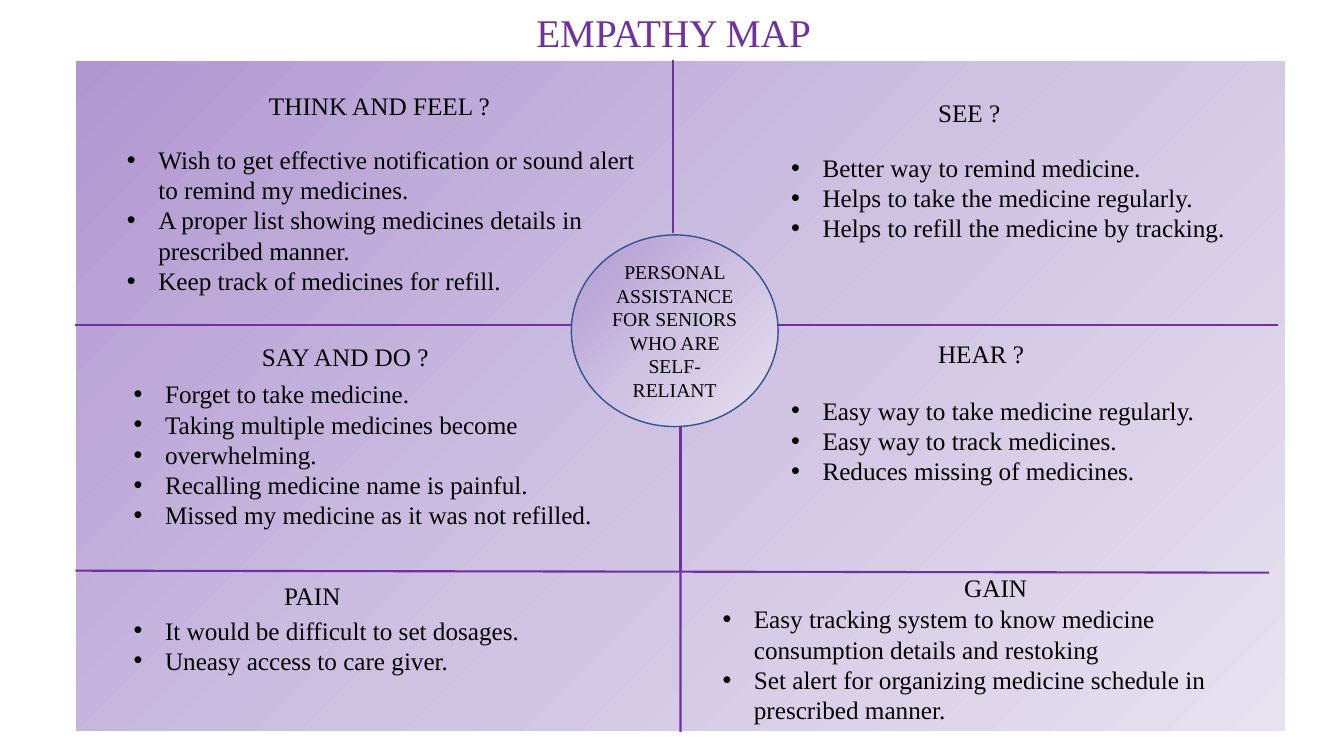
import copy

import pptx
import pptx.dml.color
import pptx.enum.shapes
import pptx.enum.text
import pptx.oxml
import pptx.oxml.ns
import pptx.util

Cm = pptx.util.Cm
Pt = pptx.util.Pt
qn = pptx.oxml.ns.qn
ALIGN = pptx.enum.text.PP_ALIGN
ANCHOR = pptx.enum.text.MSO_ANCHOR
SHAPES = pptx.enum.shapes.MSO_SHAPE


def color(value):
    return pptx.dml.color.RGBColor.from_string(value)


class EmpathyMap:
    font = "Times New Roman"
    purple = "7030A0"
    black = "000000"
    gradient = ("B197D2", "CEC1E2", "E7E1F0")
    indent = 0.79

    def __init__(self, presentation):
        self.slide = presentation.slides.add_slide(presentation.slide_layouts[5])

    def set_text(self, text_frame, text, size=18, ink=black, align=ALIGN.LEFT):
        text_frame.text = text
        for paragraph in text_frame.paragraphs:
            paragraph.alignment = align
            for run in paragraph.runs:
                run.font.name = self.font
                run.font.size = Pt(size)
                run.font.color.rgb = color(ink)

    def title(self, text, left, top, width, height):
        shape = self.slide.shapes.title
        shape.left, shape.top, shape.width, shape.height = map(Cm, (left, top, width, height))
        text_frame = shape.text_frame
        text_frame.auto_size = pptx.enum.text.MSO_AUTO_SIZE.NONE
        text_frame.vertical_anchor = ANCHOR.TOP
        self.set_text(text_frame, text, 28, self.purple, ALIGN.CENTER)

    def area(self, kind, left, top, width, height, outline, weight):
        shape = self.slide.shapes.add_shape(kind, *map(Cm, (left, top, width, height)))
        shape.shadow.inherit = False
        shape.line.color.rgb = color(outline)
        shape.line.width = Pt(weight)
        shape.fill.gradient()
        shape.fill.gradient_angle = 315
        stop_list = shape.element.spPr.find(".//" + qn("a:gsLst"))
        stop_list.insert(1, copy.deepcopy(stop_list[0]))
        for index, stop in enumerate(shape.fill.gradient_stops):
            stop.position = index / 2
            stop.color.rgb = color(self.gradient[index])
        return shape

    def centre(self, text, *box):
        shape = self.area(SHAPES.OVAL, *box, "325491", 1)
        shape.text_frame.word_wrap = True
        shape.text_frame.vertical_anchor = ANCHOR.MIDDLE
        self.set_text(shape.text_frame, text, 14, align=ALIGN.CENTER)

    def divider(self, *ends):
        straight = pptx.enum.shapes.MSO_CONNECTOR.STRAIGHT
        connector = self.slide.shapes.add_connector(straight, *map(Cm, ends))
        connector.line.color.rgb = color(self.purple)
        connector.line.width = Pt(1.5)
        properties = connector.element.spPr
        properties.append(properties.makeelement(qn("a:effectLst"), {}))
        return connector

    def heading(self, text, left, top, width):
        box = self.slide.shapes.add_textbox(Cm(left), Cm(top), Cm(width), Cm(1.02))
        box.text_frame.word_wrap = False
        self.set_text(box.text_frame, text)

    def bullets(self, items, left, top, width, height):
        box = self.slide.shapes.add_textbox(*map(Cm, (left, top, width, height)))
        box.text_frame.word_wrap = True
        self.set_text(box.text_frame, "\n".join(items))
        for paragraph in box.text_frame.paragraphs:
            properties = paragraph._p.get_or_add_pPr()
            properties.set("marL", str(Cm(self.indent)))
            properties.set("indent", str(-Cm(self.indent)))
            properties.append(properties.makeelement(qn("a:buFont"), {"typeface": "Arial"}))
            properties.append(properties.makeelement(qn("a:buChar"), {"char": "•"}))


SECTIONS = [
    ("THINK AND FEEL ?", (6.53, 2.16, 6.32), (2.95, 3.51, 13.56, 4.88), [
        "Wish to get effective notification or sound alert to remind my medicines.",
        "A proper list showing medicines details in prescribed manner.",
        "Keep track of medicines for refill.",
    ]),
    ("SEE ?", (23.39, 2.34, 2.62), (19.69, 3.71, 12.62, 2.57), [
        "Better way to remind medicine.",
        "Helps to take the medicine regularly.",
        "Helps to refill the medicine by tracking.",
    ]),
    ("SAY AND DO ?", (6.35, 8.48, 4.95), (3.12, 9.42, 12.57, 4.11), [
        "Forget to take medicine.",
        "Taking multiple medicines become",
        "overwhelming.",
        "Recalling medicine name is painful.",
        "Missed my medicine as it was not refilled.",
    ]),
    ("HEAR ?", (23.39, 8.41, 2.72), (19.69, 9.83, 11.46, 2.57), [
        "Easy way to take medicine regularly.",
        "Easy way to track medicines.",
        "Reduces missing of medicines.",
    ]),
    ("PAIN", (6.91, 14.5, 2.79), (3.12, 15.37, 11.05, 2.57), [
        "It would be difficult to set dosages.",
        "Uneasy access to care giver.",
    ]),
    ("GAIN", (24.05, 14.3, 3.4), (17.96, 15.09, 14.25, 3.33), [
        "Easy tracking system to know medicine consumption details and restoking",
        "Set alert for organizing medicine schedule in prescribed manner.",
    ]),
]

DIVIDERS = [
    (1.9, 14.38, 31.98, 14.43),
    (16.97, 1.52, 16.97, 5.87),
    (1.9, 8.2, 14.38, 8.2),
    (19.58, 8.2, 32.2, 8.2),
    (17.15, 10.74, 17.15, 14.4),
]


def main():
    presentation = pptx.Presentation()
    presentation.slide_width = Cm(33.87)
    presentation.slide_height = Cm(19.05)
    empathy_map = EmpathyMap(presentation)
    empathy_map.title("EMPATHY MAP", 12.29, 0.08, 9.37, 1.45)
    panel = empathy_map.area(SHAPES.RECTANGLE, 1.9, 1.52, 30.5, 16.92, "FFFFFF", 1.5)
    empathy_map.centre("PERSONAL ASSISTANCE FOR SENIORS WHO ARE SELF-RELIANT",
                       14.4, 5.92, 5.21, 4.83)
    for ends in DIVIDERS:
        empathy_map.divider(*ends)
    empathy_map.divider(17.15, 14.4, 17.15, 18.44).end_connect(panel, 2)
    for name, heading_place, list_place, items in SECTIONS:
        empathy_map.heading(name, *heading_place)
        empathy_map.bullets(items, *list_place)
    presentation.save("out.pptx")


if __name__ == "__main__":
    main()
